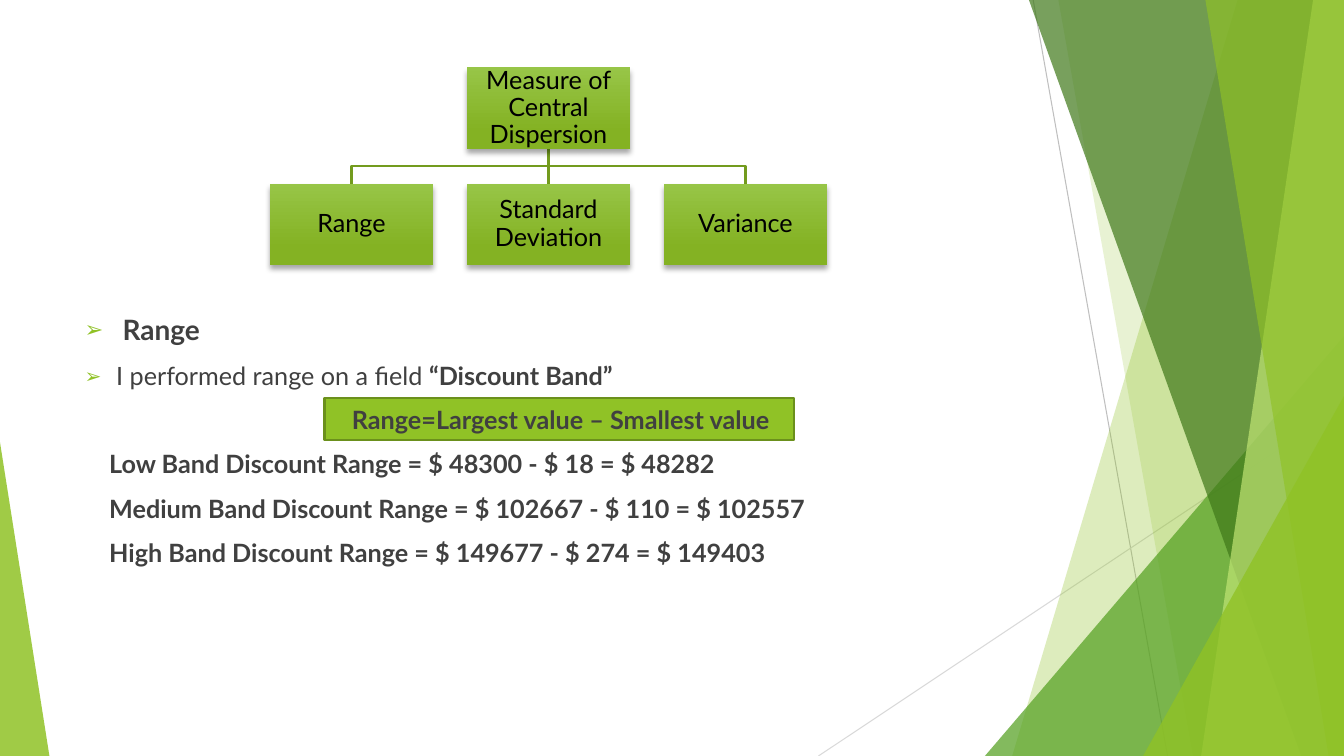
from dataclasses import dataclass

from lxml import etree
from pptx import Presentation
from pptx.dml.color import RGBColor
from pptx.enum.shapes import MSO_CONNECTOR, MSO_SHAPE
from pptx.enum.text import MSO_ANCHOR, MSO_AUTO_SIZE, PP_ALIGN
from pptx.oxml import parse_xml
from pptx.oxml.ns import nsdecls, qn
from pptx.util import Pt

STRAIGHT = MSO_CONNECTOR.STRAIGHT
RECTANGLE, TRIANGLE = MSO_SHAPE.RECTANGLE, MSO_SHAPE.ISOSCELES_TRIANGLE
LEFT, CENTER = PP_ALIGN.LEFT, PP_ALIGN.CENTER
TOP, MIDDLE = MSO_ANCHOR.TOP, MSO_ANCHOR.MIDDLE
NO_FIT = MSO_AUTO_SIZE.NONE
WIDTH, HEIGHT = 960, 540


@dataclass(frozen=True)
class Theme:
    font: str = "Lato"
    heading: int = 20
    body: int = 18
    green: str = "90C226"
    green_edge: str = "6B901C"
    branch: str = "739B1E"
    node_top: str = "97C547"
    node_bottom: str = "84B223"
    leaf: str = "54A021"
    forest: str = "3F7819"
    lime: str = "C0E474"
    ink: str = "404040"
    black: str = "000000"
    steep_line: str = "BFBFBF"
    flat_line: str = "D9D9D9"


THEME = Theme()


def color(value):
    return RGBColor.from_string(value)


def add_text(para, text, size=THEME.body, ink=THEME.ink, bold=False):
    span = para.add_run()
    span.text = text
    span.font.name = THEME.font
    span.font.size = Pt(size)
    span.font.bold = bold
    span.font.color.rgb = color(ink)


def paint(shape, fill, opacity=100):
    shape.shadow.inherit = False
    shape.line.fill.background()
    shape.fill.solid()
    shape.fill.fore_color.rgb = color(fill)
    if opacity < 100:
        tint = shape.fill._xPr.find(qn("a:solidFill"))[0]
        etree.SubElement(tint, qn("a:alpha")).set("val", str(opacity * 1000))


def add_line(page, start, end, ink, weight):
    line = page.shapes.add_connector(STRAIGHT, *map(Pt, start + end))
    line.line.color.rgb = color(ink)
    line.line.width = Pt(weight)
    etree.SubElement(line._element.spPr, qn("a:effectLst"))


def add_outline(page, points, close):
    corners = [(Pt(x), Pt(y)) for x, y in points]
    builder = page.shapes.build_freeform(*corners[0])
    builder.add_line_segments(corners[1:], close=close)
    shape = builder.convert_to_shape()
    shape.shadow.inherit = False
    return shape


def add_band(page, top_left, bottom_left, fill, opacity):
    points = [(top_left, 0), (WIDTH, 0), (WIDTH, HEIGHT), (bottom_left, HEIGHT)]
    paint(add_outline(page, points, True), fill, opacity)


def add_corner(page, left, width, height, apex, fill, opacity):
    """Triangle that stands on the bottom edge of the page."""
    box = left, HEIGHT - height, width, height
    shape = page.shapes.add_shape(TRIANGLE, *map(Pt, box))
    shape.adjustments[0] = apex
    paint(shape, fill, opacity)


def draw_facets(page):
    add_line(page, (738, 0), (834, HEIGHT), THEME.steep_line, 0.75)
    add_line(page, (WIDTH, 290), (584.6, HEIGHT), THEME.flat_line, 0.75)
    add_band(page, 884, 723, THEME.green, 30)
    add_band(page, 756, 852, THEME.green, 20)
    add_corner(page, 703.5, 256.5, 300, 1, THEME.leaf, 72)
    add_band(page, 735, 929.5, THEME.forest, 70)
    add_band(page, 938, 858, THEME.lime, 70)
    add_band(page, 861, 949, THEME.green, 65)
    add_corner(page, 816.5, 143.5, 257, 1, THEME.green, 80)
    add_corner(page, 0, 35.3, 224, 0, THEME.green, 85)


def add_node(page, box, label):
    node = page.shapes.add_shape(RECTANGLE, *map(Pt, box))
    node.line.fill.background()
    node.fill.gradient()
    node.fill.gradient_angle = 270
    stops = zip(node.fill.gradient_stops, (THEME.node_top, THEME.node_bottom), (0, 0.78))
    for stop, shade, position in stops:
        stop.color.rgb = color(shade)
        stop.position = position
    node._element.spPr.append(parse_xml(
        f'<a:effectLst {nsdecls("a")}><a:outerShdw blurRad="{Pt(4)}" dist="{Pt(3)}" '
        f'dir="5400000" rotWithShape="0"><a:srgbClr val="{THEME.black}">'
        '<a:alpha val="35000"/></a:srgbClr></a:outerShdw></a:effectLst>'))
    frame = node.text_frame
    frame.word_wrap = True
    frame.vertical_anchor = MIDDLE
    frame.margin_left = frame.margin_right = Pt(0.9)
    frame.margin_top = frame.margin_bottom = Pt(0.9)
    para = frame.paragraphs[0]
    para.alignment = CENTER
    para.line_spacing = 0.9
    add_text(para, label, ink=THEME.black)


def draw_tree(page, box, root, leaves):
    left, top, width, height = box
    node_width, node_height = 116.6, 58.3
    pitch = (width - node_width) / (len(leaves) - 1)
    center = left + width / 2
    root_bottom = top + node_height
    leaf_top = top + height - node_height
    middle = (root_bottom + leaf_top) / 2

    # Branches
    for index in range(len(leaves)):
        x = left + node_width / 2 + index * pitch
        if abs(x - center) < 1:
            add_line(page, (center, root_bottom), (center, leaf_top), THEME.branch, 1.5)
            continue
        bends = [(center, root_bottom), (center, middle), (x, middle), (x, leaf_top)]
        branch = add_outline(page, bends, False)
        branch.fill.background()
        branch.line.color.rgb = color(THEME.branch)
        branch.line.width = Pt(1.5)

    # Nodes
    add_node(page, (center - node_width / 2, top, node_width, node_height), root)
    for index, label in enumerate(leaves):
        add_node(page, (left + index * pitch, leaf_top, node_width, node_height), label)


def set_bullet(para, indent, bullet):
    properties = para._p.get_or_add_pPr()
    properties.set("marL", str(Pt(indent)))
    properties.set("indent", str(Pt(-indent if bullet else 0)))
    if not bullet:
        etree.SubElement(properties, qn("a:buNone"))
        return
    tint = etree.SubElement(properties, qn("a:buClr"))
    etree.SubElement(tint, qn("a:srgbClr")).set("val", THEME.green)
    etree.SubElement(properties, qn("a:buSzPct")).set("val", "80000")
    etree.SubElement(properties, qn("a:buFont")).set("typeface", THEME.font)
    etree.SubElement(properties, qn("a:buChar")).set("char", bullet)


def draw_findings(page, box):
    left, top, width, height = box

    # Formula panel
    panel_box = left + 178.5, top + 64.8, 335.5, 30.2
    panel = page.shapes.add_shape(RECTANGLE, *map(Pt, panel_box))
    paint(panel, THEME.green)
    panel.line.color.rgb = color(THEME.green_edge)
    panel.line.width = Pt(1.5)

    # Text: spans of (words, bold), size, indent, bullet, alignment
    size = THEME.body
    rows = [
        ([("Range", True)], THEME.heading, 27, "➢", LEFT),
        ([("I performed range on a field ", False), ("“Discount Band”", True)],
         size, 22.5, "➢", LEFT),
        ([("Range=Largest value – Smallest value", True)], size, 17.5, None, CENTER),
    ]
    for band, largest, smallest in (("Low", 48300, 18), ("Medium", 102667, 110),
                                    ("High", 149677, 274)):
        words = (f"{band} Band Discount Range = $ {largest} - $ {smallest}"
                 f" = $ {largest - smallest}")
        rows.append(([(words, True)], size, 17.5, None, LEFT))

    body = page.placeholders[1]
    body.left, body.top, body.width, body.height = map(Pt, box)
    page.shapes._spTree.append(body._element)
    frame = body.text_frame
    frame.word_wrap = True
    frame.auto_size = NO_FIT
    frame.vertical_anchor = TOP
    for index, (spans, points, indent, bullet, alignment) in enumerate(rows):
        para = frame.add_paragraph() if index else frame.paragraphs[0]
        para.alignment = alignment
        para.space_before = Pt(10)
        set_bullet(para, indent, bullet)
        for words, bold in spans:
            add_text(para, words, size=points, bold=bold)


def main():
    deck = Presentation()
    deck.slide_width, deck.slide_height = Pt(WIDTH), Pt(HEIGHT)
    page = deck.slides.add_slide(deck.slide_layouts[1])
    title = page.shapes.title._element
    title.getparent().remove(title)
    draw_facets(page)
    draw_tree(page, (192.8, 48.2, 398, 141.2), "Measure of Central Dispersion",
              ["Range", "Standard Deviation", "Variance"])
    draw_findings(page, (53.3, 219.6, 676.8, 256.3))
    deck.save("out.pptx")


if __name__ == "__main__":
    main()
